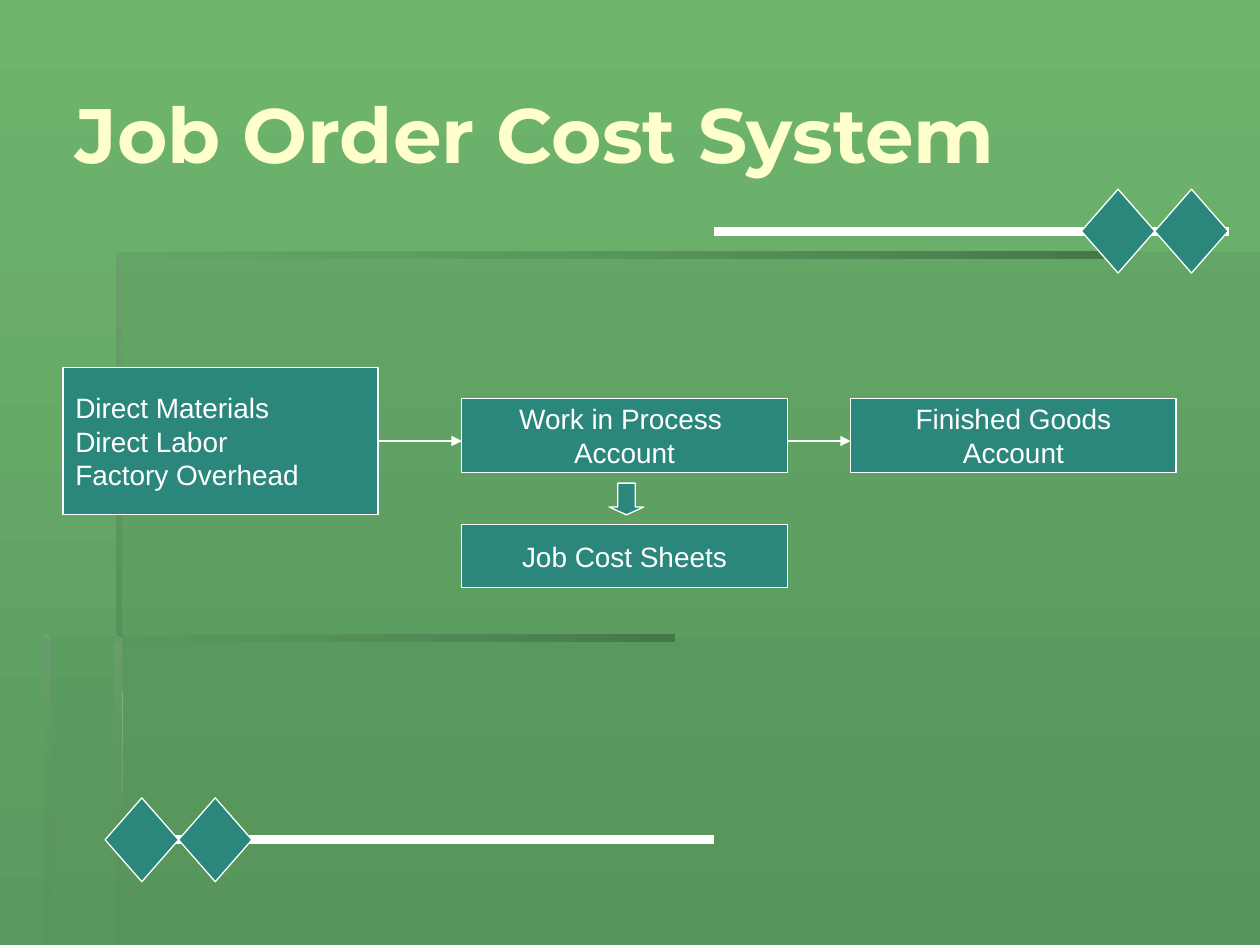
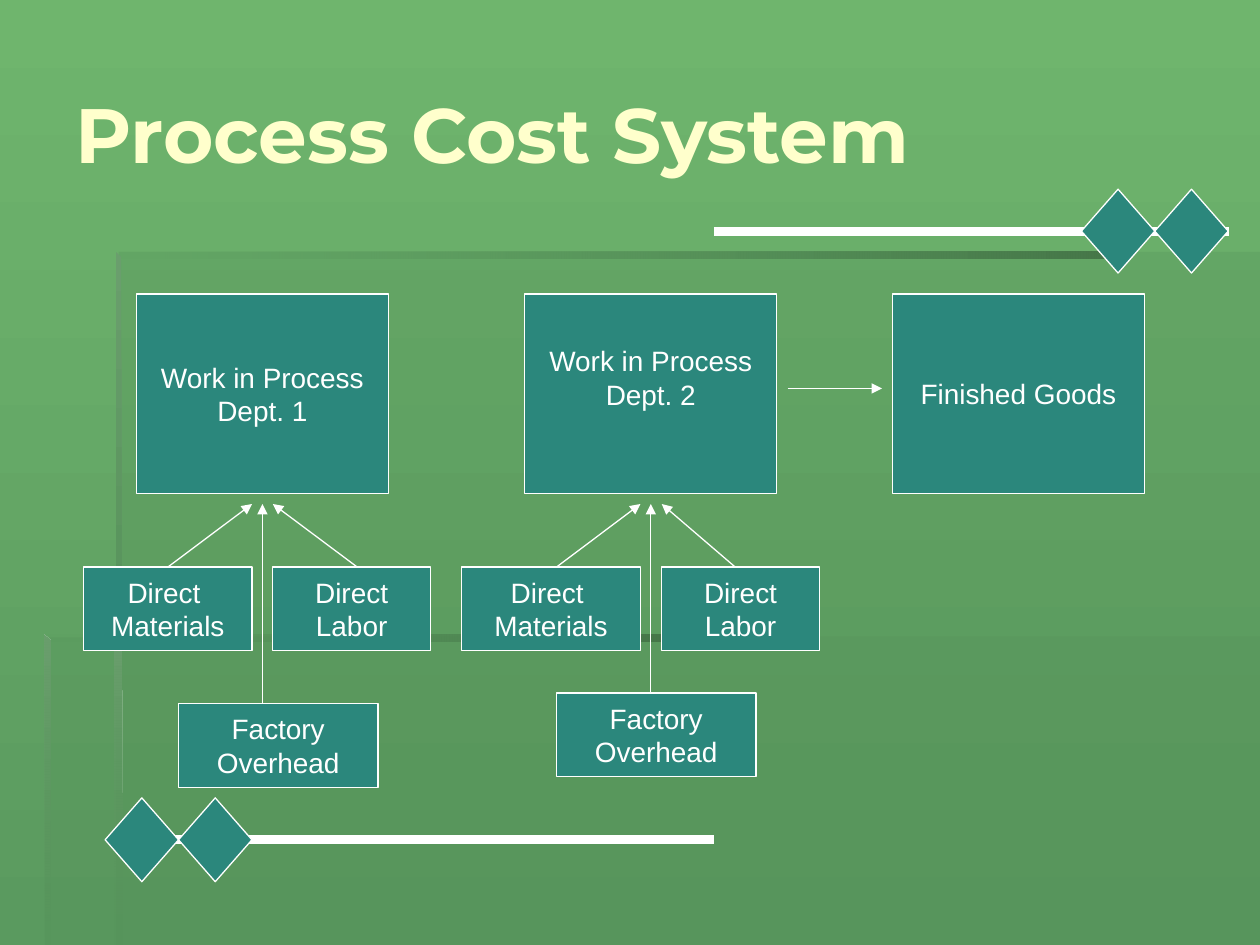
"""Build two slides comparing job order and process cost systems."""

import dataclasses
import typing

import lxml.etree
import pptx
import pptx.dml.color
import pptx.dml.fill
import pptx.enum.shapes
import pptx.enum.text
import pptx.oxml.ns
import pptx.shapes.autoshape
import pptx.shapes.connector
import pptx.slide
import pptx.util

Cm = pptx.util.Cm
Pt = pptx.util.Pt
PRESET = pptx.enum.shapes.MSO_SHAPE
ALIGN = pptx.enum.text.PP_ALIGN

COLORS = {
    "sky": "6FB56D",
    "meadow": "5A9A5F",
    "panel": "56925A",
    "shade": "467749",
    "glint": "6A9E6D",
    "teal": "2B877C",
    "white": "FFFFFF",
    "cream": "FFFFCC",
}
TITLE_FONT, BODY_FONT = "Montserrat", "Arial"
DIAMOND_WIDTH, DIAMOND_HEIGHT = 1.48, 1.69
THIN, THICK = 0.75, 5
TOP_SIDE, RIGHT_SIDE = 0, 3

Point = tuple[float, float]


class Band(typing.NamedTuple):
    """Backdrop outline filled with one or two colours and their opacities."""

    outline: list[Point]
    colors: list[str]
    opacities: list[int]
    angle: int = 270


class Ornament(typing.NamedTuple):
    """White rule carrying a pair of diamonds."""

    rule_left: float
    rule_right: float
    diamonds_left: float
    center: float


@dataclasses.dataclass
class Account:
    """Labelled stage of the cost flow."""

    label: str
    left: float
    top: float
    width: float
    height: float
    align: ALIGN = ALIGN.CENTER
    bottom_inset: float = 0.13


class Flow(typing.NamedTuple):
    """Arrow between two points, optionally joined to a stage at its start."""

    start: Point
    end: Point
    source: typing.Optional[str] = None
    side: int = TOP_SIDE


@dataclasses.dataclass
class CostSystem:
    """Content of one slide."""

    title: str
    accounts: dict[str, Account]
    flows: list[Flow]
    down_arrow: typing.Optional[tuple[float, float, float, float]] = None


BANDS = [
    Band([(2.34, 12.83), (2.34, 19.05), (25.4, 19.05), (25.4, 12.83)], ["panel"], [30]),
    Band([(2.39, 12.85), (0.91, 12.85), (0.91, 19.05), (25.4, 19.05), (25.4, 5.08), (2.39, 5.08)],
         ["panel"], [30]),
    Band([(2.34, 5.08), (2.34, 5.21), (22.63, 5.21), (22.63, 5.08)], ["shade", "panel"], [100, 0], 180),
    Band([(2.34, 5.08), (2.34, 12.95), (2.46, 12.95), (2.44, 5.18)], ["glint", "panel"], [100, 100]),
    Band([(2.31, 19.05), (2.46, 19.05), (2.44, 12.9), (2.31, 12.8)], ["glint", "panel"], [100, 0]),
    Band([(0.89, 12.8), (0.89, 12.93), (13.59, 12.93), (13.59, 12.8)], ["shade", "panel"], [100, 0], 180),
    Band([(0.89, 12.8), (0.89, 19.05), (1.02, 19.05), (1.02, 12.93)], ["glint", "panel"], [100, 10]),
]
ORNAMENTS = [Ornament(2.33, 14.39, 2.12, 16.93), Ornament(14.39, 24.77, 21.8, 4.66)]

FLOW_Y = 8.89
DEPT_TOP, DEPT_WIDTH, DEPT_HEIGHT = 5.93, 5.08, 4.02
INPUT_TOP, INPUT_HEIGHT = 11.43, 1.69
ARROW_TIP = 10.16

SYSTEMS = [
    CostSystem(
        "Job Order Cost System",
        {
            "inputs": Account("Direct Materials\nDirect Labor\nFactory Overhead",
                              1.27, 7.41, 6.35, 2.96, ALIGN.LEFT),
            "work": Account("Work in Process \nAccount", 9.31, 8.04, 6.56, 1.48),
            "finished": Account("Finished Goods\nAccount", 17.15, 8.04, 6.56, 1.48),
            "sheets": Account("Job Cost Sheets", 9.31, 10.58, 6.56, 1.27),
        },
        [
            Flow((7.62, FLOW_Y), (9.31, FLOW_Y), "inputs", RIGHT_SIDE),
            Flow((15.87, FLOW_Y), (17.15, FLOW_Y)),
        ],
        (12.28, 9.74, 0.7, 0.64),
    ),
    CostSystem(
        "Process Cost System",
        {
            "dept 1": Account("Work in Process\nDept. 1", 2.75, DEPT_TOP, DEPT_WIDTH, DEPT_HEIGHT),
            "dept 2": Account("Work in Process\nDept. 2", 10.58, DEPT_TOP, DEPT_WIDTH, DEPT_HEIGHT,
                              bottom_inset=0.8),
            "finished": Account("Finished Goods", 17.99, DEPT_TOP, DEPT_WIDTH, DEPT_HEIGHT),
            "overhead 1": Account("Factory\nOverhead", 3.6, 14.18, 4.02, INPUT_HEIGHT),
            "labor 1": Account("Direct\nLabor", 5.5, INPUT_TOP, 3.18, INPUT_HEIGHT),
            "materials 1": Account("Direct \nMaterials", 1.69, INPUT_TOP, 3.39, INPUT_HEIGHT),
            "materials 2": Account("Direct \nMaterials", 9.31, INPUT_TOP, 3.6, INPUT_HEIGHT),
            "labor 2": Account("Direct\nLabor", 13.34, INPUT_TOP, 3.18, INPUT_HEIGHT),
            "overhead 2": Account("Factory\nOverhead", 11.22, 13.97, 4.02, INPUT_HEIGHT),
        },
        [
            Flow((3.39, INPUT_TOP), (5.08, ARROW_TIP), "materials 1"),
            Flow((5.29, 14.18), (5.29, ARROW_TIP)),
            Flow((7.2, INPUT_TOP), (5.5, ARROW_TIP)),
            Flow((11.22, INPUT_TOP), (12.91, ARROW_TIP)),
            Flow((14.82, INPUT_TOP), (13.34, ARROW_TIP)),
            Flow((13.12, 13.97), (13.12, ARROW_TIP)),
            Flow((15.88, 7.83), (17.78, 7.83)),
        ],
    ),
]


def rgb(name: str) -> pptx.dml.color.RGBColor:
    """Look up a palette colour."""
    return pptx.dml.color.RGBColor.from_string(COLORS[name])


def paint(fill: pptx.dml.fill.FillFormat, colors: list[str], angle: int) -> None:
    """Fill with one flat colour or a two-colour gradient."""
    if len(colors) == 1:
        fill.solid()
        fill.fore_color.rgb = rgb(colors[0])
        return
    fill.gradient()
    fill.gradient_angle = angle
    for stop, color in zip(fill.gradient_stops, colors):
        stop.color.rgb = rgb(color)


def draw_band(slide: pptx.slide.Slide, band: Band) -> None:
    """Draw one translucent part of the backdrop."""
    corners = [(Cm(x), Cm(y)) for x, y in band.outline]
    builder = slide.shapes.build_freeform(*corners[0])
    builder.add_line_segments(corners[1:], close=True)
    panel = builder.convert_to_shape()
    panel.shadow.inherit = False
    paint(panel.fill, band.colors, band.angle)
    tints = panel._element.spPr.iter(pptx.oxml.ns.qn("a:srgbClr"))
    for tint, opacity in zip(tints, band.opacities):
        if opacity < 100:
            lxml.etree.SubElement(tint, pptx.oxml.ns.qn("a:alpha"), val=str(opacity * 1000))
    panel.line.fill.background()


def draw_shape(slide: pptx.slide.Slide, preset: PRESET, left: float, top: float,
               width: float, height: float) -> pptx.shapes.autoshape.Shape:
    """Draw a teal preset shape with a thin white outline."""
    figure = slide.shapes.add_shape(preset, Cm(left), Cm(top), Cm(width), Cm(height))
    figure.shadow.inherit = False
    figure.fill.solid()
    figure.fill.fore_color.rgb = rgb("teal")
    figure.line.color.rgb = rgb("white")
    figure.line.width = Pt(THIN)
    return figure


def draw_line(slide: pptx.slide.Slide, start: Point, end: Point, weight: float,
              arrow: bool = False) -> pptx.shapes.connector.Connector:
    """Draw a straight white line, with an arrowhead at its end if wanted."""
    ends = [Cm(value) for value in (*start, *end)]
    line = slide.shapes.add_connector(pptx.enum.shapes.MSO_CONNECTOR.STRAIGHT, *ends)
    line.line.color.rgb = rgb("white")
    line.line.width = Pt(weight)
    properties = line._element.spPr
    if arrow:
        stroke = properties.find(pptx.oxml.ns.qn("a:ln"))
        lxml.etree.SubElement(stroke, pptx.oxml.ns.qn("a:tailEnd"), type="triangle")
    lxml.etree.SubElement(properties, pptx.oxml.ns.qn("a:effectLst"))
    return line


def draw_ornament(slide: pptx.slide.Slide, ornament: Ornament) -> None:
    """Draw a rule with its two diamonds."""
    draw_line(slide, (ornament.rule_left, ornament.center),
              (ornament.rule_right, ornament.center), THICK)
    for index in range(2):
        draw_shape(slide, PRESET.DIAMOND, ornament.diamonds_left + index * DIAMOND_WIDTH,
                   ornament.center - DIAMOND_HEIGHT / 2, DIAMOND_WIDTH, DIAMOND_HEIGHT)


def write(holder: pptx.shapes.autoshape.Shape, text: str, font: str, size: int, color: str,
          align: ALIGN, bold: bool = False) -> None:
    """Write vertically centred text in one style."""
    frame = holder.text_frame
    frame.text = text
    frame.vertical_anchor = pptx.enum.text.MSO_ANCHOR.MIDDLE
    for paragraph in frame.paragraphs:
        paragraph.alignment = align
        for run in paragraph.runs:
            run.font.name = font
            run.font.size = Pt(size)
            run.font.bold = bold
            run.font.color.rgb = rgb(color)


def draw_account(slide: pptx.slide.Slide, account: Account) -> pptx.shapes.autoshape.Shape:
    """Draw one labelled stage."""
    stage = draw_shape(slide, PRESET.RECTANGLE, account.left, account.top,
                       account.width, account.height)
    write(stage, account.label, BODY_FONT, 16, "white", account.align)
    stage.text_frame.word_wrap = False
    stage.text_frame.margin_bottom = Cm(account.bottom_inset)
    return stage


def draw_backdrop(slide: pptx.slide.Slide, title: str) -> None:
    """Draw everything the slides share, and the title."""
    paint(slide.background.fill, ["sky", "meadow"], 270)
    for band in BANDS:
        draw_band(slide, band)
    for ornament in ORNAMENTS:
        draw_ornament(slide, ornament)
    heading = slide.shapes.add_textbox(Cm(1.27), Cm(0.69), Cm(23.29), Cm(3.99))
    write(heading, title, TITLE_FONT, 44, "cream", ALIGN.LEFT, bold=True)
    heading.text_frame.word_wrap = True


def draw_system(slide: pptx.slide.Slide, system: CostSystem) -> None:
    """Draw one cost system diagram."""
    draw_backdrop(slide, system.title)
    stages = {key: draw_account(slide, account) for key, account in system.accounts.items()}
    for flow in system.flows:
        arrow = draw_line(slide, flow.start, flow.end, THIN, arrow=True)
        if flow.source:
            arrow.begin_connect(stages[flow.source], flow.side)
    if system.down_arrow:
        posting = draw_shape(slide, PRESET.DOWN_ARROW, *system.down_arrow)
        posting.adjustments[1] = 0.25


def main() -> None:
    """Build and save the presentation."""
    deck = pptx.Presentation()
    deck.slide_width, deck.slide_height = Cm(25.4), Cm(19.05)
    for system in SYSTEMS:
        draw_system(deck.slides.add_slide(deck.slide_layouts[6]), system)
    deck.save("out.pptx")


if __name__ == "__main__":
    main()
